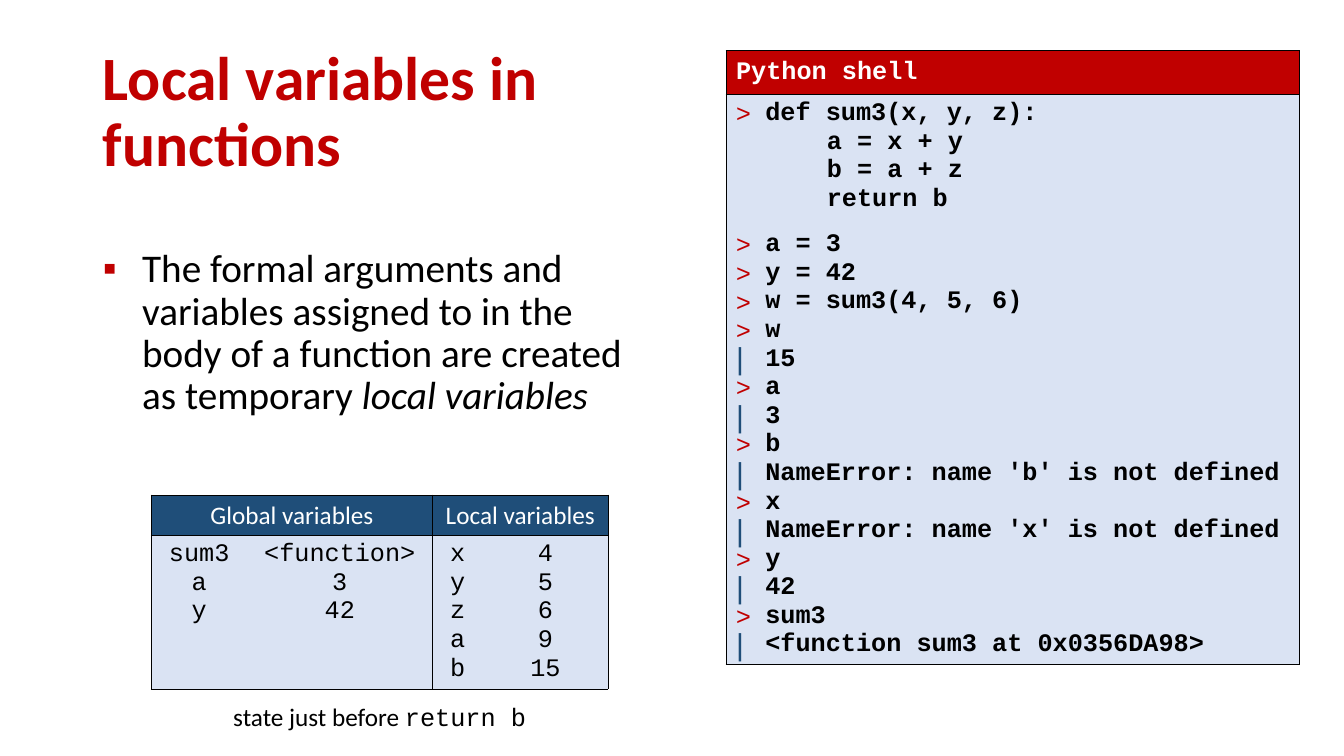
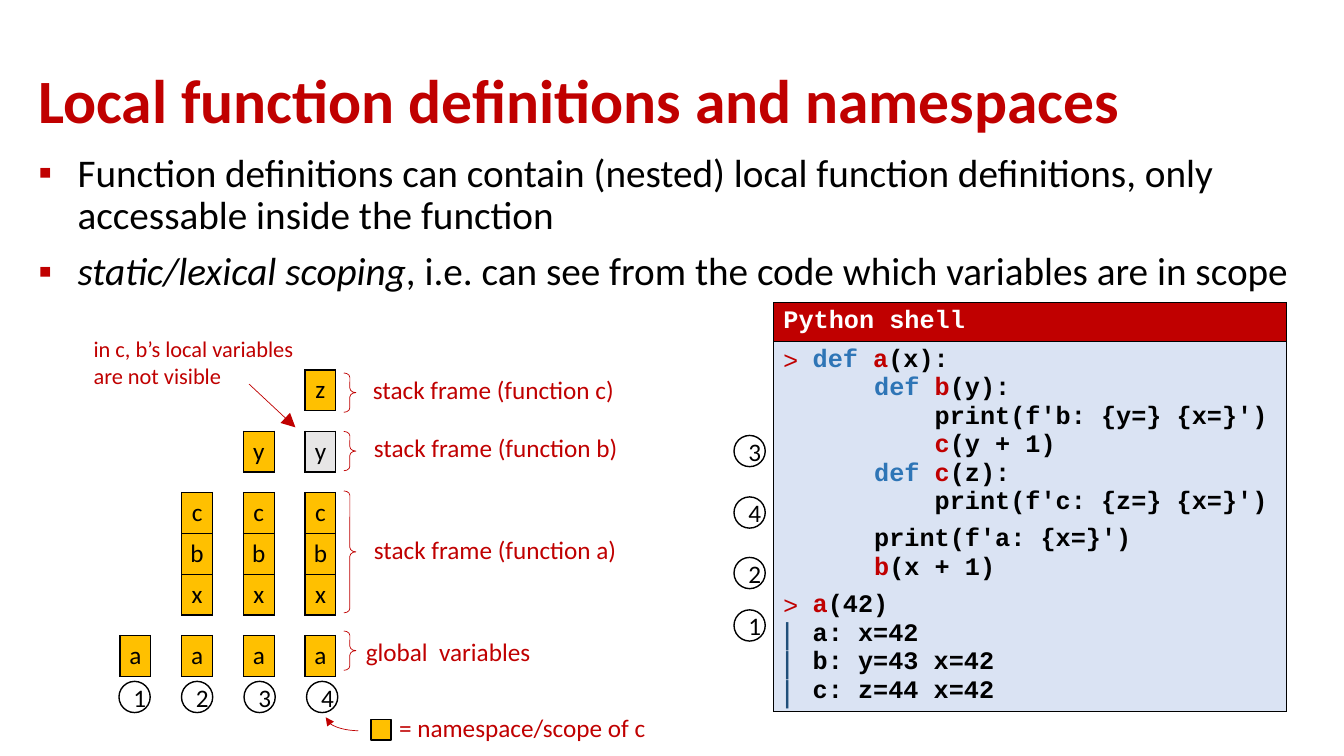
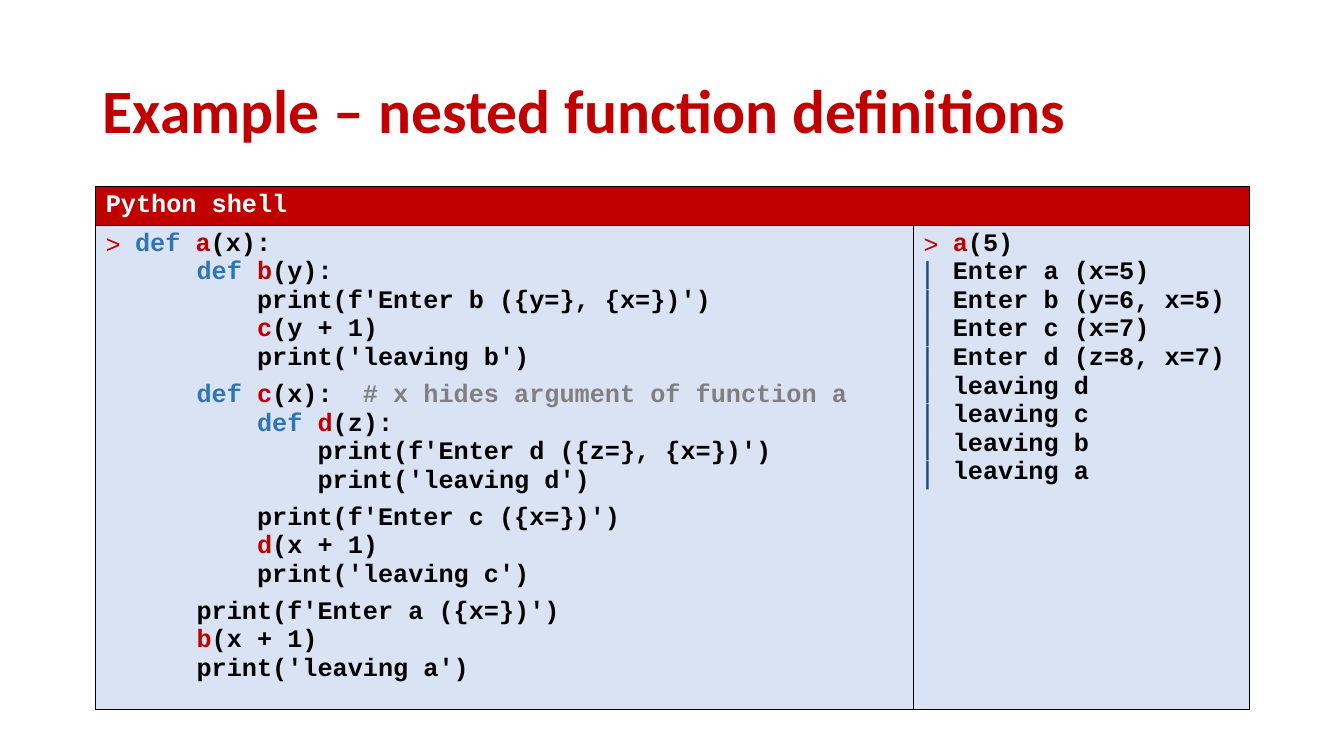
from lxml import etree
from pptx import Presentation
from pptx.dml.color import RGBColor
from pptx.enum.shapes import MSO_CONNECTOR as CONN, MSO_SHAPE as SHAPE
from pptx.enum.text import MSO_ANCHOR as ANCHOR, MSO_AUTO_SIZE as AUTO, PP_ALIGN as ALIGN
from pptx.oxml.ns import qn
from pptx.util import Inches, Pt

RED = RGBColor(0xC0, 0x00, 0x00)
NAVY = RGBColor(0x1F, 0x4E, 0x79)
BLUE = RGBColor(0x2E, 0x75, 0xB6)
PALE = RGBColor(0xDA, 0xE3, 0xF3)
GOLD = RGBColor(0xFF, 0xC0, 0x00)
LIGHT = RGBColor(0xE7, 0xE6, 0xE6)
GRAY = RGBColor(0x80, 0x80, 0x80)
BLACK = RGBColor(0, 0, 0)
WHITE = RGBColor(0xFF, 0xFF, 0xFF)

TITLE = dict(name="Calibri", size=Pt(44), bold=True)
BODY = dict(name="Calibri", size=Pt(28))
ITALIC = dict(BODY, italic=True)
LABEL = dict(name="Calibri", size=Pt(18))
NOTE = dict(LABEL, size=Pt(16))
MONO = dict(name="Courier New", size=Pt(18))
CODE = dict(MONO, bold=True)

CHAR = 0.15  # advance of one character of 18 pt code, in inches
PROMPT = 0.29
NO_GRID = "{2D5ABB26-0587-4C30-8999-92F81FD0307C}"

# In a listing "> " is input, "| " is output and a blank line is a gap.
SUM3 = """\
> def sum3(x, y, z):
      a = x + y
      b = a + z
      return b

> a = 3
> y = 42
> w = sum3(4, 5, 6)
> w
| 15
> a
| 3
> b
| NameError: name 'b' is not defined
> x
| NameError: name 'x' is not defined
> y
| 42
> sum3
| <function sum3 at 0x0356DA98>"""

SCOPES = """\
> def a(x):
      def b(y):
          print(f'b: {y=} {x=}')
          c(y + 1)
      def c(z):
          print(f'c: {z=} {x=}')

      print(f'a: {x=}')
      b(x + 1)

> a(42)
| a: x=42
| b: y=43 x=42
| c: z=44 x=42"""

NESTED = """\
> def a(x):
      def b(y):
          print(f'Enter b ({y=}, {x=})')
          c(y + 1)
          print('leaving b')

      def c(x):  # x hides argument of function a
          def d(z):
              print(f'Enter d ({z=}, {x=})')
              print('leaving d')

          print(f'Enter c ({x=})')
          d(x + 1)
          print('leaving c')

      print(f'Enter a ({x=})')
      b(x + 1)
      print('leaving a')"""

NESTED_RUN = """\
> a(5)
| Enter a (x=5)
| Enter b (y=6, x=5)
| Enter c (x=7)
| Enter d (z=8, x=7)
| leaving d
| leaving c
| leaving b
| leaving a"""


def set_attrs(obj, values):
    for name, value in values.items():
        setattr(obj, name, value)


def add_run(p, text, fmt, color=BLACK):
    r = p.add_run()
    r.text = text
    set_attrs(r.font, fmt)
    r.font.color.rgb = color


def paragraphs(tf):
    """Yield the first paragraph, then new ones; in zip it must come last."""
    yield tf.paragraphs[0]
    while True:
        yield tf.add_paragraph()


def sub_color(parent, tag, color):
    etree.SubElement(etree.SubElement(parent, qn(tag)), qn("a:srgbClr"), val=str(color))


def set_bullet(p, char, color, indent, percent=100):
    pPr = p._p.get_or_add_pPr()
    pPr.set("marL", str(Inches(indent)))
    pPr.set("indent", str(-Inches(indent)))
    sub_color(pPr, "a:buClr", color)
    etree.SubElement(pPr, qn("a:buSzPct"), val=str(percent * 1000))
    etree.SubElement(pPr, qn("a:buFont"), typeface="Arial")
    etree.SubElement(pPr, qn("a:buChar"), char=char)


def set_borders(cell, width, sides="LRTB"):
    """Draw the given sides and switch the others off."""
    tcPr = cell._tc.get_or_add_tcPr()
    for i, side in enumerate("LRTB"):
        ln = etree.Element(qn("a:ln" + side), w=str(Pt(width)))
        if side in sides:
            sub_color(ln, "a:solidFill", BLACK)
        else:
            etree.SubElement(ln, qn("a:noFill"))
        tcPr.insert(i, ln)


def fill_cell(cell, color):
    cell.fill.solid()
    cell.fill.fore_color.rgb = color


def add_title(slide, box, text):
    sp = slide.shapes.title
    set_attrs(sp, dict(zip(("left", "top", "width", "height"), map(Inches, box))))
    tf = sp.text_frame
    set_attrs(tf, dict(vertical_anchor=ANCHOR.MIDDLE, auto_size=AUTO.NONE, word_wrap=True))
    p = tf.paragraphs[0]
    set_attrs(p, dict(alignment=ALIGN.LEFT, line_spacing=0.9))
    add_run(p, text, TITLE, RED)


def add_bullets(slide, box, items):
    """Fill the body placeholder; each item is a list of (text, format)."""
    sp = slide.placeholders[1]
    set_attrs(sp, dict(zip(("left", "top", "width", "height"), map(Inches, box))))
    tf = sp.text_frame
    set_attrs(tf, dict(auto_size=AUTO.NONE, word_wrap=True))
    for item, p in zip(items, paragraphs(tf)):
        set_attrs(p, dict(line_spacing=0.9, space_before=Pt(10)))
        set_bullet(p, "▪", RED, 0.39)
        for text, fmt in item:
            add_run(p, text, fmt)


def add_grid(slide, x, y, widths, heights):
    """Add a plain table without style."""
    frame = slide.shapes.add_table(len(heights), len(widths), Inches(x), Inches(y),
                                   Inches(sum(widths)), Inches(sum(heights)))
    table = frame.table
    set_attrs(table, dict(first_row=False, horz_banding=False))
    table._tbl.tblPr.find(qn("a:tableStyleId")).text = NO_GRID
    for col, width in zip(table.columns, widths):
        col.width = Inches(width)
    for row, height in zip(table.rows, heights):
        row.height = Inches(height)
    return table


def add_text(slide, box, runs, align=ALIGN.LEFT):
    sp = slide.shapes.add_textbox(*map(Inches, box))
    tf = sp.text_frame
    tf.word_wrap = True
    p = tf.paragraphs[0]
    p.alignment = align
    for run in runs:
        add_run(p, *run)


def add_outline(slide, shape, box, color, width, adjustments=()):
    sp = slide.shapes.add_shape(shape, *map(Inches, box))
    sp.shadow.inherit = False
    sp.fill.background()
    sp.line.color.rgb = color
    sp.line.width = Pt(width)
    for i, value in enumerate(adjustments):
        sp.adjustments[i] = value
    return sp


def add_arrowhead(sp, size="med"):
    etree.SubElement(sp.line._get_or_add_ln(), qn("a:tailEnd"),
                     type="triangle", w=size, len=size)


def add_marker(slide, x, y, number):
    sp = add_outline(slide, SHAPE.OVAL, (x, y, 0.31, 0.31), BLACK, 1)
    tf = sp.text_frame
    tf.vertical_anchor = ANCHOR.MIDDLE
    tf.paragraphs[0].alignment = ALIGN.CENTER
    add_run(tf.paragraphs[0], str(number), LABEL)


def highlight(code):
    """Split one code line into (text, colour): keyword, function name, rest, comment."""
    if code.startswith("def "):
        yield "def ", BLUE
        code = code[4:]
    name, paren, _ = code.partition("(")
    if paren and len(name) == 1:
        yield name, RED
        code = code[1:]
    code, mark, comment = code.partition("#")
    yield code, BLACK
    if mark:
        yield mark + comment, GRAY


def fill_listing(cell, listing, gap, colored):
    new = paragraphs(cell.text_frame)
    p = None
    for line in listing.split("\n"):
        if not line:
            p.space_after = Pt(gap)
            continue
        p = next(new)
        mark, code = line[0], line[2:].lstrip()
        if mark == ">":
            set_bullet(p, ">", RED, PROMPT)
        elif mark == "|":
            set_bullet(p, "|", NAVY, PROMPT, 120)
        else:
            margin = CHAR * (len(line) - len(code))
            p._p.get_or_add_pPr().set("marL", str(Inches(margin)))
        runs = highlight(code) if colored and mark != "|" else [(code, BLACK)]
        for text, color in runs:
            add_run(p, text, CODE, color)


def add_shell(slide, x, y, widths, heights, listings, gap=6, colored=True):
    """Add a shell window with one listing per column."""
    table = add_grid(slide, x, y, widths, heights)
    head = table.cell(0, 0)
    if len(widths) > 1:
        head.merge(table.cell(0, len(widths) - 1))
    head.vertical_anchor = ANCHOR.MIDDLE
    add_run(head.text_frame.paragraphs[0], "Python shell", CODE, WHITE)
    fill_cell(head, RED)
    set_borders(head, 0.5)
    for col, listing in enumerate(listings):
        cell = table.cell(1, col)
        fill_listing(cell, listing, gap, colored)
        fill_cell(cell, PALE)
        set_borders(cell, 0.5)


def add_variables(slide, x, y):
    """Add the table of global and local variables with its caption."""
    widths = (0.95, 1.84, 0.5, 1.24)
    table = add_grid(slide, x, y, widths, (0.4, 1.52))
    for col, text in ((0, "Global variables"), (2, "Local variables")):
        head = table.cell(0, col)
        head.merge(table.cell(0, col + 1))
        head.vertical_anchor = ANCHOR.MIDDLE
        p = head.text_frame.paragraphs[0]
        p.alignment = ALIGN.CENTER
        add_run(p, text, LABEL, WHITE)
        fill_cell(head, NAVY)
        set_borders(head, 0.5)
    columns = ("sum3 a y", "<function> 3 42", "x y z a b", "4 5 6 9 15")
    for col, values in enumerate(columns):
        cell = table.cell(1, col)
        for value, p in zip(values.split(), paragraphs(cell.text_frame)):
            p.alignment = ALIGN.CENTER
            add_run(p, value, MONO)
        fill_cell(cell, PALE)
        set_borders(cell, 0.5, "RTB" if col % 2 else "LTB")
    add_text(slide, (x, y + 2, sum(widths), 0.4),
             [("state just before ", LABEL), ("return b", MONO)], ALIGN.CENTER)


def add_stacks(slide, x, y):
    """Add the four call stacks; a blank row is a gap between frames."""
    rows = ("   z", "", "  yy", "", " ccc", " bbb", " xxx", "", "aaaa", "")
    heights = [0.4 if row else 0.2 for row in rows[:-1]] + [0.4]
    table = add_grid(slide, x, y, [0.306] * 7, heights)
    for i, row in enumerate(rows):
        names = " ".join(row.ljust(4))
        for j, name in enumerate(names):
            cell = table.cell(i, j)
            p = cell.text_frame.paragraphs[0]
            set_attrs(cell, dict(margin_left=0, margin_right=0))
            if name == " ":
                etree.SubElement(p._p, qn("a:endParaRPr"), sz="600")
                continue
            p.alignment = ALIGN.CENTER
            add_run(p, name, LABEL)
            fill_cell(cell, LIGHT if (i, j) == (2, 6) else GOLD)
            set_borders(cell, 1)
    for i in range(4):
        add_marker(slide, x - 0.01 + 0.62 * i, y + 3.09, i + 1)


def add_stack_labels(slide, x, y):
    """Add braces, labels, note and legend around the stacks."""
    frames = ((0.03, 0.39, 2.41, -0.01, "stack frame (function c)"),
              (0.61, 0.39, 2.42, 0.57, "stack frame (function b)"),
              (1.2, 1.21, 2.42, 1.58, "stack frame (function a)"),
              (2.59, 0.39, 2.34, 2.59, "global  variables"))
    for top, height, text_x, text_y, text in frames:
        add_outline(slide, SHAPE.RIGHT_BRACE, (x + 2.22, y + top, 0.12, height),
                    RED, 0.5, (0.37, 0.5))
        add_text(slide, (x + text_x, y + text_y, 2.8, 0.4), [(text, LABEL, RED)])

    add_text(slide, (x - 0.36, y - 0.39, 2.45, 0.64),
             [("in c, b’s local variables are not visible", NOTE, RED)])
    arrow = slide.shapes.add_connector(CONN.STRAIGHT, Inches(x + 1.28), Inches(y + 0.14),
                                       Inches(x + 1.74), Inches(y + 0.57))
    arrow.line.color.rgb = RED
    arrow.line.width = Pt(0.5)
    add_arrowhead(arrow, "lg")
    etree.SubElement(arrow._element.spPr, qn("a:effectLst"))

    add_text(slide, (x + 2.67, y + 3.35, 2.81, 0.4), [("= namespace/scope of c", LABEL, RED)])
    # Arc angles are set in units of 5/3 degree: about 97 to 179 degrees.
    arc = add_outline(slide, SHAPE.ARC, (x + 2.04, y + 3.3, 0.68, 0.28),
                      RED, 0.5, (58.08, 107.41))
    add_arrowhead(arc)
    key = add_outline(slide, SHAPE.RECTANGLE, (x + 2.49, y + 3.47, 0.2, 0.2), BLACK, 1)
    key.fill.solid()
    key.fill.fore_color.rgb = GOLD


def local_variables_slide(prs):
    slide = prs.slides.add_slide(prs.slide_layouts[1])
    add_title(slide, (0.92, 0.4, 5.69, 1.45), "Local variables in functions")
    add_bullets(slide, (0.92, 2.42, 5.69, 1.98), [
        [("The formal arguments and variables assigned to in the body of a function "
          "are created as temporary ", BODY), ("local variables", ITALIC)]])
    add_shell(slide, 7.2, 0.5, [5.69], [0.44, 5.65], [SUM3], gap=12, colored=False)
    add_variables(slide, 1.5, 4.91)


def namespaces_slide(prs):
    slide = prs.slides.add_slide(prs.slide_layouts[1])
    add_title(slide, (0.28, 0.3, 11.5, 1.45), "Local function definitions and namespaces")
    add_bullets(slide, (0.28, 1.47, 12.74, 4.76), [
        [("Function definitions can contain (nested) local function definitions, "
          "only accessable inside the function", BODY)],
        [("static/lexical scoping", ITALIC),
         (", i.e. can see from the code which variables are in scope", BODY)]])
    x, y = 7.67, 3
    add_shell(slide, x, y, [5.09], [0.38, 3.67], [SCOPES])
    for number, top in ((3, 1.32), (4, 1.93), (2, 2.53), (1, 3.05)):
        add_marker(slide, x - 0.39, y + top, number)
    add_stacks(slide, 1.19, 3.67)
    add_stack_labels(slide, 1.19, 3.67)


def nested_example_slide(prs):
    slide = prs.slides.add_slide(prs.slide_layouts[5])
    add_title(slide, (0.92, 0.4, 11.5, 1.45), "Example – nested function definitions")
    add_shell(slide, 0.95, 1.85, [8.11, 3.33], [0.38, 4.8], [NESTED, NESTED_RUN])


def main():
    prs = Presentation()
    prs.slide_width, prs.slide_height = Inches(13.33), Inches(7.5)
    local_variables_slide(prs)
    namespaces_slide(prs)
    nested_example_slide(prs)
    prs.save("out.pptx")


if __name__ == "__main__":
    main()
